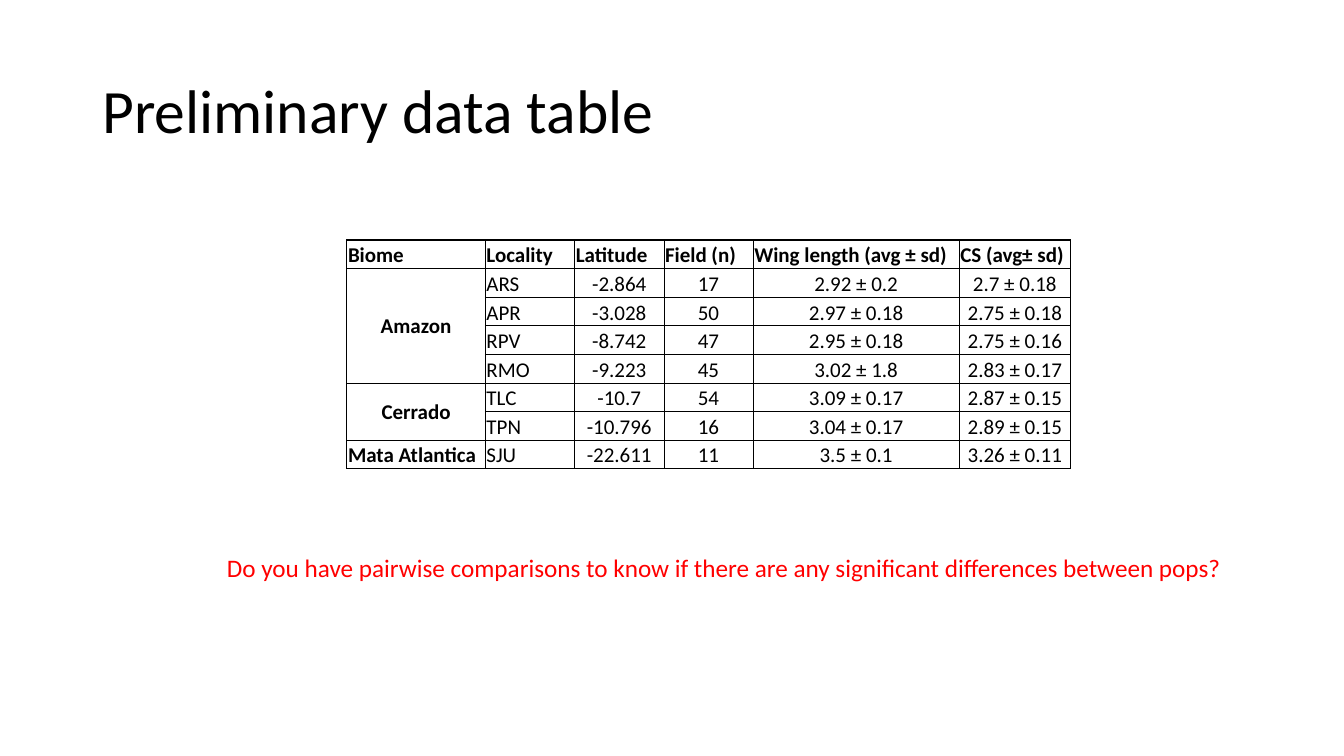
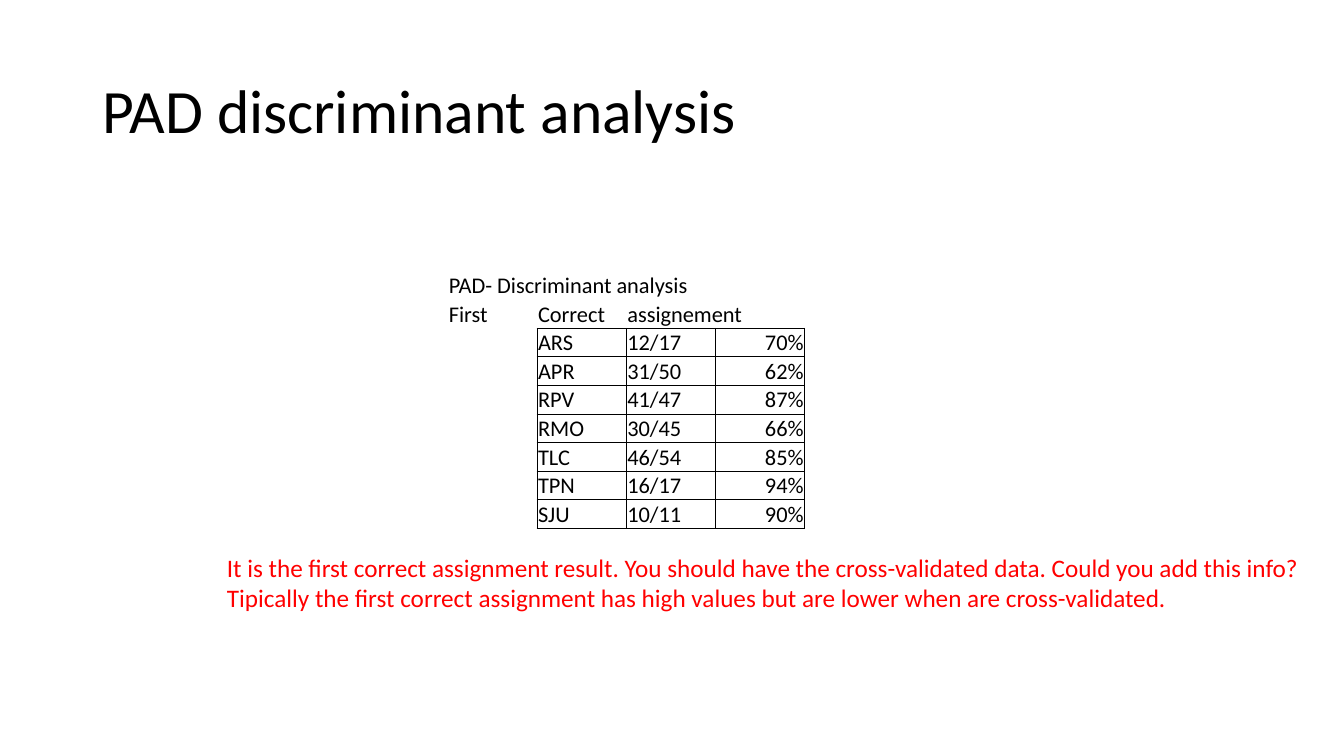
from lxml import etree
from pptx import Presentation
from pptx.dml.color import RGBColor
from pptx.enum import text
from pptx.oxml.ns import qn
from pptx.util import Cm, Pt

BLACK, RED = "000000", "FF0000"
ROW_HEIGHT = 0.72
NO_GRID_STYLE = "{2D5ABB26-0587-4C30-8999-92F81FD0307C}"
ALIGN = {"l": text.PP_ALIGN.LEFT, "c": text.PP_ALIGN.CENTER, "r": text.PP_ALIGN.RIGHT}


def add_run(paragraph, words, size, colour):
    run = paragraph.add_run()
    run.text = words
    run.font.name = "Calibri"
    run.font.size = Pt(size)
    run.font.color.rgb = RGBColor.from_string(colour)


def add_grid(slide, left, top, widths, rows, size, aligns, merges, frame, outer):
    """Add a table ruled from cell `frame` (row, column) on, its outer lines `outer` points wide."""
    height, width = len(rows), len(widths)
    grid = slide.shapes.add_table(height, width, Cm(left), Cm(top), Cm(sum(widths)),
                                  Cm(ROW_HEIGHT * height)).table
    grid.first_row = grid.horz_banding = False
    grid._tbl.tblPr.find(qn("a:tableStyleId")).text = NO_GRID_STYLE
    for column, column_width in zip(grid.columns, widths):
        column.width = Cm(column_width)
    for row in grid.rows:
        row.height = Cm(ROW_HEIGHT)
    for first, last in merges:
        grid.cell(*first).merge(grid.cell(*last))

    for r, row in enumerate(rows):
        for c, words in enumerate(row):
            cell = grid.cell(r, c)
            cell.margin_left = cell.margin_right = cell.margin_top = Cm(0.03)
            cell.margin_bottom = 0
            cell.vertical_anchor = text.MSO_ANCHOR.BOTTOM
            paragraph = cell.text_frame.paragraphs[0]
            paragraph.alignment = ALIGN[aligns[c]]
            if words:
                add_run(paragraph, words, size, BLACK)
            else:
                etree.SubElement(paragraph._p, qn("a:endParaRPr"), sz=str(size * 100))
            if cell.is_spanned:
                continue
            right = c + (cell.span_width if cell.is_merge_origin else 1)
            bottom = r + (cell.span_height if cell.is_merge_origin else 1)
            # Each side: its grid line, and whether it lies in the ruled part
            sides = (("a:lnL", c, width, c >= frame[1] and r >= frame[0]),
                     ("a:lnR", right, width, right >= frame[1] and r >= frame[0]),
                     ("a:lnT", r, height, r >= frame[0] and c >= frame[1]),
                     ("a:lnB", bottom, height, bottom >= frame[0] and c >= frame[1]))
            for tag, line, end, ruled in sides:
                points = outer if line in (0, end) else 0.5
                border = etree.SubElement(cell._tc.get_or_add_tcPr(), qn(tag), w=str(Pt(points)))
                if ruled:
                    fill = etree.SubElement(border, qn("a:solidFill"))
                    etree.SubElement(fill, qn("a:srgbClr"), val=BLACK)
                else:
                    etree.SubElement(border, qn("a:noFill"))
            cell.fill.background()
    return grid


prs = Presentation()
prs.slide_width, prs.slide_height = Cm(33.87), Cm(19.05)

# Titles and reviewer notes
pages = [
    ("Preliminary data table", 25.73, [
        "Do you have pairwise comparisons to know if there are any significant differences between pops?",
    ]),
    ("PAD discriminant analysis", 27.84, [
        "It is the first correct assignment result. You should have the cross-validated data. "
        "Could you add this info?",
        "Tipically the first correct assignment has high values but are lower when are cross-validated.",
    ]),
]
for heading, note_width, note_lines in pages:
    slide = prs.slides.add_slide(prs.slide_layouts[6])
    title = slide.shapes.add_textbox(Cm(2.33), Cm(1.01), Cm(29.21), Cm(3.68)).text_frame
    title.word_wrap = True
    title.vertical_anchor = text.MSO_ANCHOR.MIDDLE
    title.paragraphs[0].line_spacing = 0.9
    add_run(title.paragraphs[0], heading, 44, BLACK)

    note = slide.shapes.add_textbox(Cm(5.47), Cm(13.79), Cm(note_width),
                                    Cm(0.25 + 0.77 * len(note_lines))).text_frame
    note.word_wrap = False
    note.auto_size = text.MSO_AUTO_SIZE.SHAPE_TO_FIT_TEXT
    for i, words in enumerate(note_lines):
        add_run(note.add_paragraph() if i else note.paragraphs[0], words, 18, RED)

data_slide, analysis_slide = prs.slides

# Measurements by biome and locality
measurements = [
    ("Biome", "Locality", "Latitude", "Field (n)", "Wing length (avg ± sd)", "CS (avg± sd)"),
    ("Amazon", "ARS", "-2.864", "17", "2.92 ± 0.2", "2.7 ± 0.18"),
    ("", "APR", "-3.028", "50", "2.97 ± 0.18", "2.75 ± 0.18"),
    ("", "RPV", "-8.742", "47", "2.95 ± 0.18", "2.75 ± 0.16"),
    ("", "RMO", "-9.223", "45", "3.02 ± 1.8", "2.83 ± 0.17"),
    ("Cerrado", "TLC", "-10.7", "54", "3.09 ± 0.17", "2.87 ± 0.15"),
    ("", "TPN", "-10.796", "16", "3.04 ± 0.17", "2.89 ± 0.15"),
    ("Mata Atlantica", "SJU", "-22.611", "11", "3.5 ± 0.1", "3.26 ± 0.11"),
]
biomes = add_grid(data_slide, 8.74, 6.05, [3.49, 2.25, 2.25, 2.25, 5.19, 2.81], measurements,
                  15, "clcccc", [((1, 0), (4, 0)), ((5, 0), (6, 0))], (0, 0), 1)
header_cells = [biomes.cell(0, c) for c in range(6)]
biome_cells = [biomes.cell(r, 0) for r in (1, 5, 7)]
for cell in header_cells + biome_cells:
    cell.text_frame.paragraphs[0].runs[0].font.bold = True
for cell in header_cells + biome_cells[-1:]:
    cell.text_frame.paragraphs[0].alignment = ALIGN["l"]
for cell in biome_cells:
    cell.vertical_anchor = text.MSO_ANCHOR.MIDDLE

# Correct assignments by locality
assignments = [
    ("PAD- Discriminant analysis", "", "", ""),
    ("First", "Correct", "assignement", ""),
    ("", "ARS", "12/17", "70%"),
    ("", "APR", "31/50", "62%"),
    ("", "RPV", "41/47", "87%"),
    ("", "RMO", "30/45", "66%"),
    ("", "TLC", "46/54", "85%"),
    ("", "TPN", "16/17", "94%"),
    ("", "SJU", "10/11", "90%"),
]
add_grid(analysis_slide, 11.28, 6.83, [2.25] * 4, assignments, 16, "lllr",
         [((0, 0), (0, 2)), ((1, 2), (1, 3))], (2, 1), 0.5)

prs.save("out.pptx")
